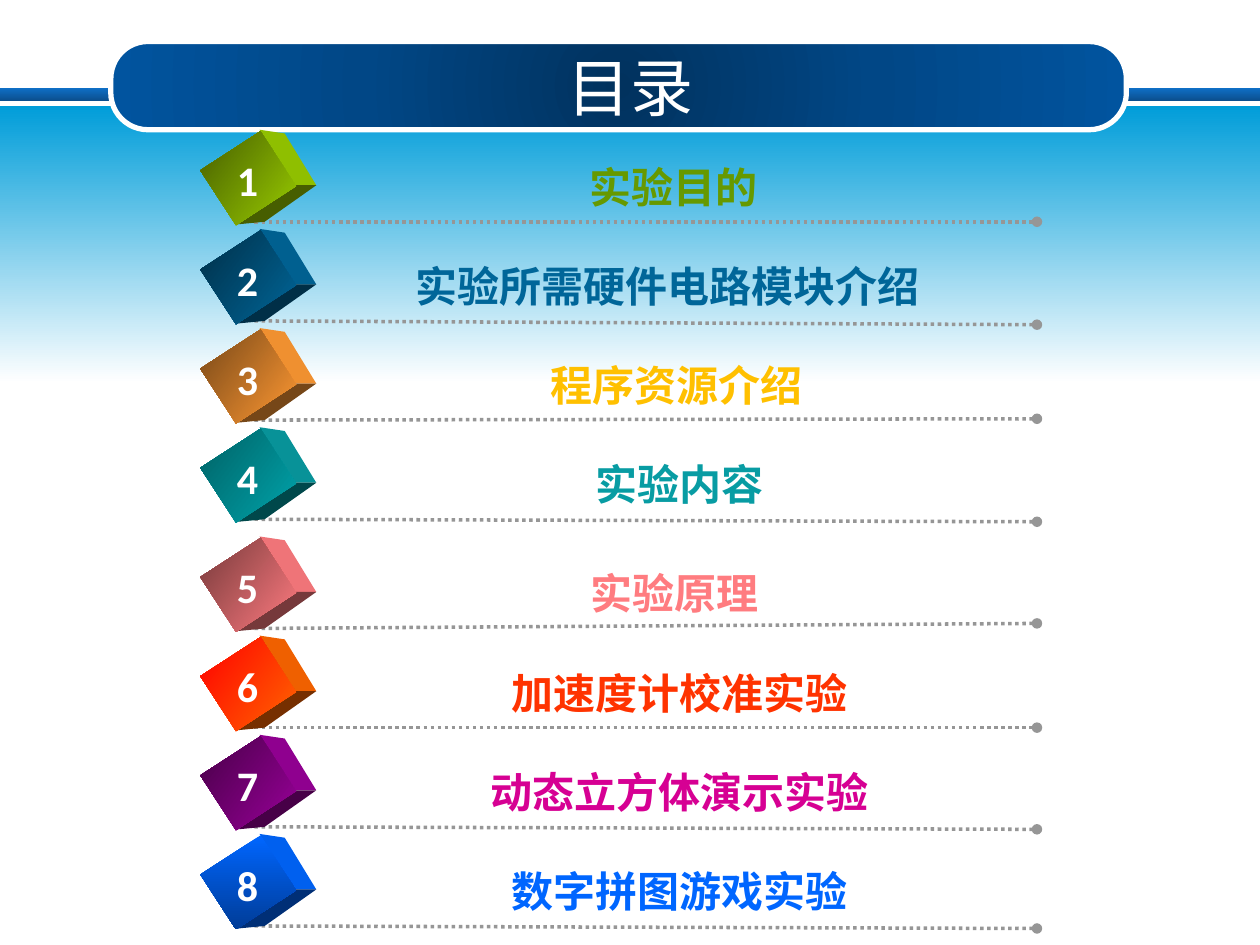
from lxml.etree import SubElement
from pptx import Presentation
from pptx.dml.color import RGBColor
from pptx.enum.dml import MSO_LINE
from pptx.enum.shapes import MSO_CONNECTOR, MSO_SHAPE
from pptx.enum.text import MSO_ANCHOR, PP_ALIGN
from pptx.oxml.ns import qn
from pptx.util import Inches, Pt

TITLE = "目录"
FONT = "Calibri"
# text, text colour, front gradient, gradient angle, side, underside, text left, text right, line drop
TOPICS = [
    ("实验目的", "669900", ("99CC00", "475E00"), 160, "8FBF00", "475E00", 2.54, 8.15, 0),
    ("实验所需硬件电路模块介绍", "006699", ("006699", "002F47"), 160, "006090", "002F47", 2.37, 8.23, 0.03),
    ("程序资源介绍", "FFC000", ("FF9933", "764718"), 160, "EF9030", "764718", 2.51, 8.23, -0.01),
    ("实验内容", "089CA3", ("00A4AB", "006165"), 160, "089298", "00484B", 2.56, 8.23, 0.02),
    ("实验原理", "FF7C80", ("FF7C80", "76393B"), 160, "EF7478", "76393B", 2.48, 8.23, -0.04),
    ("加速度计校准实验", "FF3300", ("FF6600", "FF0000"), 160, "EF6000", "762F00", 2.56, 8.23, 0),
    ("动态立方体演示实验", "D60093", ("990099", "470047"), 160, "8F008F", "470047", 2.56, 8.23, 0.02),
    ("数字拼图游戏实验", "0066FF", ("0066FF", "003C97"), 33, "0060EF", "002F76", 2.56, 8.23, 0.02),
]
CUBE_LEFT, FIRST_TOP, PITCH, LOWER_HALF_SHIFT = 1.71, 1.13, 0.787, 0.08
SIDE_FACE = [(0.35, -0.1), (0.55, -0.07), (0.8, 0.34), (0.61, 0.34)]
UNDERSIDE_FACE = [(0.18, 0.65), (0.61, 0.34), (0.8, 0.34), (0.39, 0.63)]


def color(value):
    return RGBColor.from_string(value)


def set_gradient(shape, colors, angle=None):
    shape.fill.gradient()
    gradient = shape.element.spPr.find(qn("a:gradFill"))
    for child in list(gradient):
        gradient.remove(child)
    stops = SubElement(gradient, qn("a:gsLst"))
    for index, value in enumerate(colors):
        position = index * 100000 // (len(colors) - 1)
        stop = SubElement(stops, qn("a:gs"), pos=str(position))
        SubElement(stop, qn("a:srgbClr"), val=value)
    if angle is None:
        center = SubElement(gradient, qn("a:path"), path="circle")
        SubElement(center, qn("a:fillToRect"), l="50000", t="50000", r="50000", b="50000")
    else:
        SubElement(gradient, qn("a:lin"), ang=str(angle * 60000), scaled="0")


def add_gradient_shape(shapes, kind, box, colors, angle=None):
    shape = shapes.add_shape(kind, *map(Inches, box))
    shape.shadow.inherit = False
    shape.line.fill.background()
    set_gradient(shape, colors, angle)
    return shape


def add_face(shapes, left, top, points, fill):
    corners = [(Inches(left + x), Inches(top + y)) for x, y in points]
    builder = shapes.build_freeform(*corners[0])
    builder.add_line_segments(corners[1:], close=True)
    face = builder.convert_to_shape()
    face.shadow.inherit = False
    face.fill.solid()
    face.fill.fore_color.rgb = color(fill)
    face.line.fill.background()


def write(frame, text, size, fill, bold):
    paragraph = frame.paragraphs[0]
    paragraph.alignment = PP_ALIGN.CENTER
    run = paragraph.add_run()
    run.text = text
    run.font.name = FONT
    run.font.size = Pt(size)
    run.font.bold = bold
    run.font.color.rgb = color(fill)


def add_label(shapes, box, text, fill, wrap):
    label = shapes.add_textbox(*map(Inches, box))
    label.text_frame.word_wrap = wrap
    write(label.text_frame, text, 24, fill, True)


def add_dotted_line(shapes, start, end):
    line = shapes.add_connector(MSO_CONNECTOR.STRAIGHT, *map(Inches, start + end))
    line.line.color.rgb = color("969696")
    line.line.width = Pt(2)
    line.line.dash_style = MSO_LINE.ROUND_DOT
    SubElement(line.line._get_or_add_ln(), qn("a:tailEnd"), type="oval")
    SubElement(line.element.spPr, qn("a:effectLst"))


def add_topic(slide, index, topic):
    text, text_color, front, angle, side, underside, left, right, drop = topic
    top = FIRST_TOP + index * PITCH + (LOWER_HALF_SHIFT if index >= 4 else 0)
    shapes = slide.shapes.add_group_shape().shapes
    add_dotted_line(shapes, (2.02, top + 0.63), (8.23, top + 0.63 + drop))
    add_face(shapes, CUBE_LEFT, top, SIDE_FACE, side)
    add_face(shapes, CUBE_LEFT, top, UNDERSIDE_FACE, underside)
    cube = add_gradient_shape(
        shapes, MSO_SHAPE.RECTANGLE, (CUBE_LEFT, top, 0.52, 0.57), front, angle)
    cube.rotation = 57
    add_label(shapes, (left, top + 0.1, right - left, 0.5), text, text_color, True)
    add_label(shapes, (1.77, top + 0.05, 0.39, 0.5), str(index + 1), "FFFFFF", False)


def add_header(slide):
    shapes = slide.shapes
    add_gradient_shape(shapes, MSO_SHAPE.RECTANGLE, (0, 0.7, 10, 0.1), ("0F6FC6", "0B4F8E"), 90)
    add_gradient_shape(shapes, MSO_SHAPE.RECTANGLE, (0, 0.84, 10, 2.2), ("009DD9", "FFFFFF"), 90)
    banner = add_gradient_shape(
        shapes, MSO_SHAPE.ROUNDED_RECTANGLE, (0.88, 0.33, 8.06, 0.7),
        ("01325E", "014786", "01549F"))
    banner.adjustments[0] = 0.42
    banner.line.color.rgb = color("FFFFFF")
    banner.line.width = Pt(3)
    title = shapes.title
    title.left, title.top, title.width, title.height = map(Inches, (0.5, 0.3, 9, 0.77))
    title.text_frame.vertical_anchor = MSO_ANCHOR.MIDDLE
    write(title.text_frame, TITLE, 36, "FFFFFF", False)
    banner.element.addnext(title.element)


def main():
    presentation = Presentation()
    presentation.slide_width, presentation.slide_height = Inches(10), Inches(7.5)
    slide = presentation.slides.add_slide(presentation.slide_layouts[5])
    add_header(slide)
    for index, topic in enumerate(TOPICS):
        add_topic(slide, index, topic)
    presentation.save("out.pptx")


if __name__ == "__main__":
    main()
